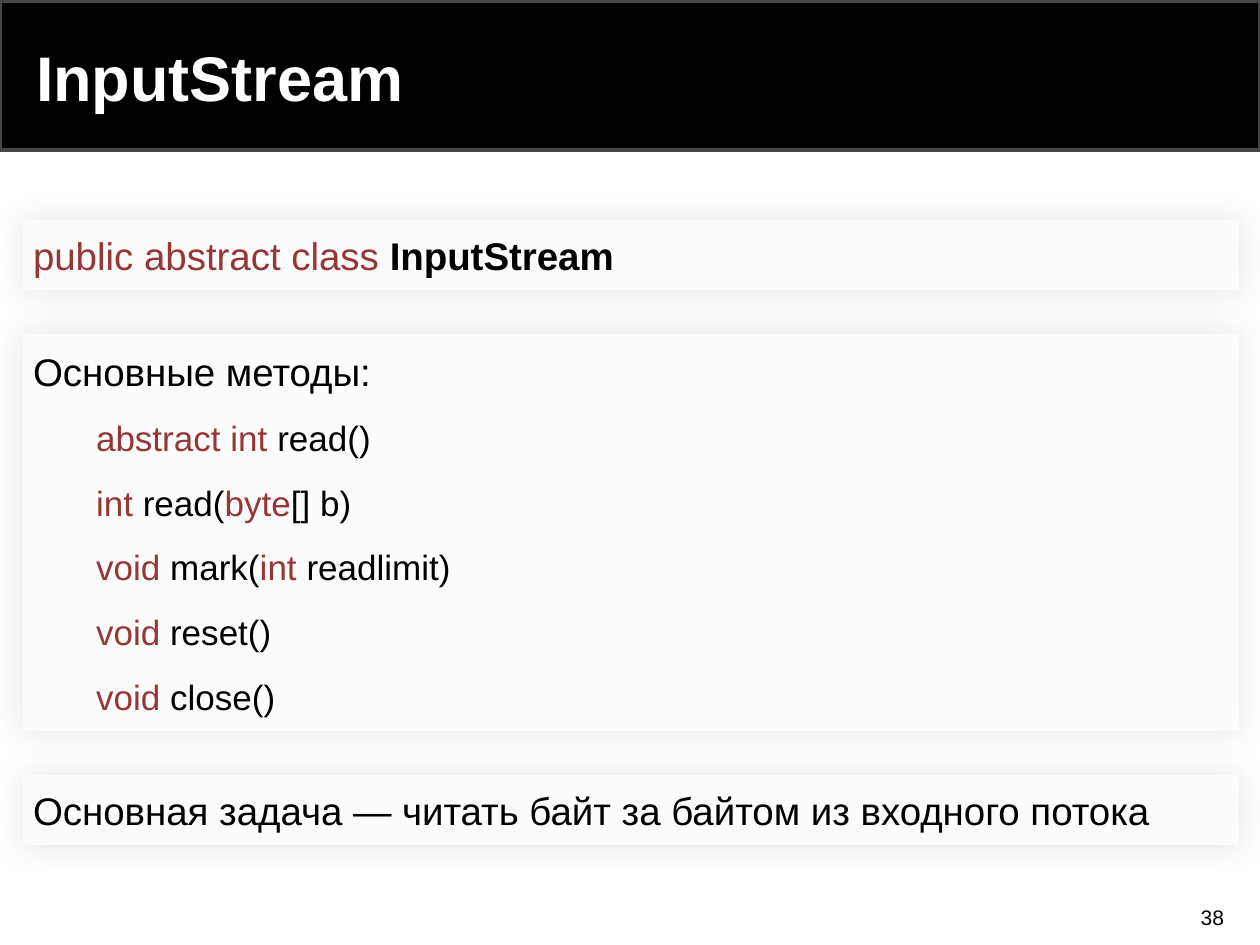
from lxml import etree
from pptx import Presentation
from pptx.dml.color import RGBColor
from pptx.enum import shapes, text
from pptx.oxml import ns
from pptx.util import Pt

SCALE = 914400 / 126  # EMU in one px


class Theme:
    font = "Arial"
    ink, key, white = "000000", "953735", "FFFFFF"
    panel, edge = "FCFCFC", "464646"
    head, lead, item, note = 36, 22, 20, 12


LEAD = {"size": Theme.lead}
ITEM = {"size": Theme.item}
METHODS = [
    [("abstract int ", 1), ("read()", 0)],
    [("int", 1), (" read(", 0), ("byte", 1), ("[] b)", 0)],
    [("void", 1), (" mark(", 0), ("int ", 1), ("readlimit)", 0)],
    [("void", 1), (" reset()", 0)],
    [("void", 1), (" close()", 0)],
]


def px(n):
    return round(n * SCALE)


def rgb(code):
    return RGBColor.from_string(code)


def apply(obj, vals):
    for name, val in vals.items():
        setattr(obj, name, val)


def place(shape, box):
    apply(shape, dict(zip(("left", "top", "width", "height"), map(px, box))))


def frame(shape, side=13, edge=6):
    apply(shape.text_frame, {
        "word_wrap": True, "auto_size": text.MSO_AUTO_SIZE.NONE,
        "vertical_anchor": text.MSO_ANCHOR.MIDDLE,
        "margin_left": px(side), "margin_right": px(side),
        "margin_top": px(edge), "margin_bottom": px(edge)})


def write(para, words, size, color=Theme.ink, bold=False):
    run = para.add_run()
    run.text = words
    apply(run.font, {"name": Theme.font, "size": Pt(size), "bold": bold})
    run.font.color.rgb = rgb(color)


def code(para, parts, size):
    for words, key in parts:
        write(para, words, size, Theme.key if key else Theme.ink)


def glow(shape):
    """Soft, even shadow around a panel."""
    props = shape.element.spPr
    for old in props.findall(ns.qn("a:effectLst")):
        props.remove(old)
    effects = etree.SubElement(props, ns.qn("a:effectLst"))
    shadow = etree.SubElement(effects, ns.qn("a:outerShdw"), blurRad=str(Pt(19)),
                              dist="0", dir="0", algn="ctr", rotWithShape="0")
    tint = etree.SubElement(shadow, ns.qn("a:srgbClr"), val=Theme.ink)
    etree.SubElement(tint, ns.qn("a:alpha"), val="10000")


def rect(slide, box):
    shape = slide.shapes.add_shape(shapes.MSO_SHAPE.RECTANGLE, *map(px, box))
    shape.shadow.inherit = False
    return shape


def panel(shape):
    shape.fill.solid()
    shape.fill.fore_color.rgb = rgb(Theme.panel)
    shape.line.fill.background()
    glow(shape)
    frame(shape, 10, 5)


def strip(slide, top):
    """One-line panel; returns its paragraph."""
    shape = rect(slide, (23, top, 1216, 70))
    panel(shape)
    para = shape.text_frame.paragraphs[0]
    para.alignment = text.PP_ALIGN.LEFT
    return para


def banner(slide):
    bar = rect(slide, (0, 1, 1260, 149))
    bar.fill.solid()
    bar.fill.fore_color.rgb = rgb(Theme.ink)
    bar.line.color.rgb = rgb(Theme.edge)
    bar.line.width = Pt(2)
    title = slide.shapes.title
    bar.element.addnext(title.element)  # title above the bar
    place(title, (23, 13, 1027, 126))
    frame(title)
    para = title.text_frame.paragraphs[0]
    para.alignment = text.PP_ALIGN.LEFT
    write(para, "InputStream", Theme.head, Theme.white, True)


def listing(slide):
    body = slide.placeholders[1]
    place(body, (23, 334, 1216, 397))
    panel(body)
    rows = [([("Основные методы:", 0)], LEAD, 0)]
    rows += [(parts, ITEM, 1) for parts in METHODS]
    for i, (parts, style, level) in enumerate(rows):
        frm = body.text_frame
        para = frm.add_paragraph() if i else frm.paragraphs[0]
        apply(para, {"level": level, "space_before": Pt(6.5),
                     "space_after": Pt(6.5), "line_spacing": 1.0})
        props = para._p.get_or_add_pPr()
        props.set("marL", str(px(63 * level)))
        props.set("indent", "0")
        etree.SubElement(props, ns.qn("a:buNone"))
        code(para, parts, **style)


def number(slide):
    box = slide.shapes.add_textbox(*map(px, (950, 898, 287, 38)))
    frame(box)
    para = box.text_frame.paragraphs[0]
    para.alignment = text.PP_ALIGN.RIGHT
    write(para, "38", Theme.note)


def main():
    deck = Presentation()
    apply(deck, {"slide_width": px(1260), "slide_height": px(945)})
    slide = deck.slides.add_slide(deck.slide_layouts[1])
    # Heading
    banner(slide)
    # Panels
    para = strip(slide, 220)
    write(para, "public abstract class ", Theme.lead, Theme.key)
    write(para, "InputStream", Theme.lead, bold=True)
    listing(slide)
    write(strip(slide, 775),
          "Основная задача ― читать байт за байтом из входного потока", Theme.lead)
    # Page number
    number(slide)
    deck.save("out.pptx")


if __name__ == "__main__":
    main()
